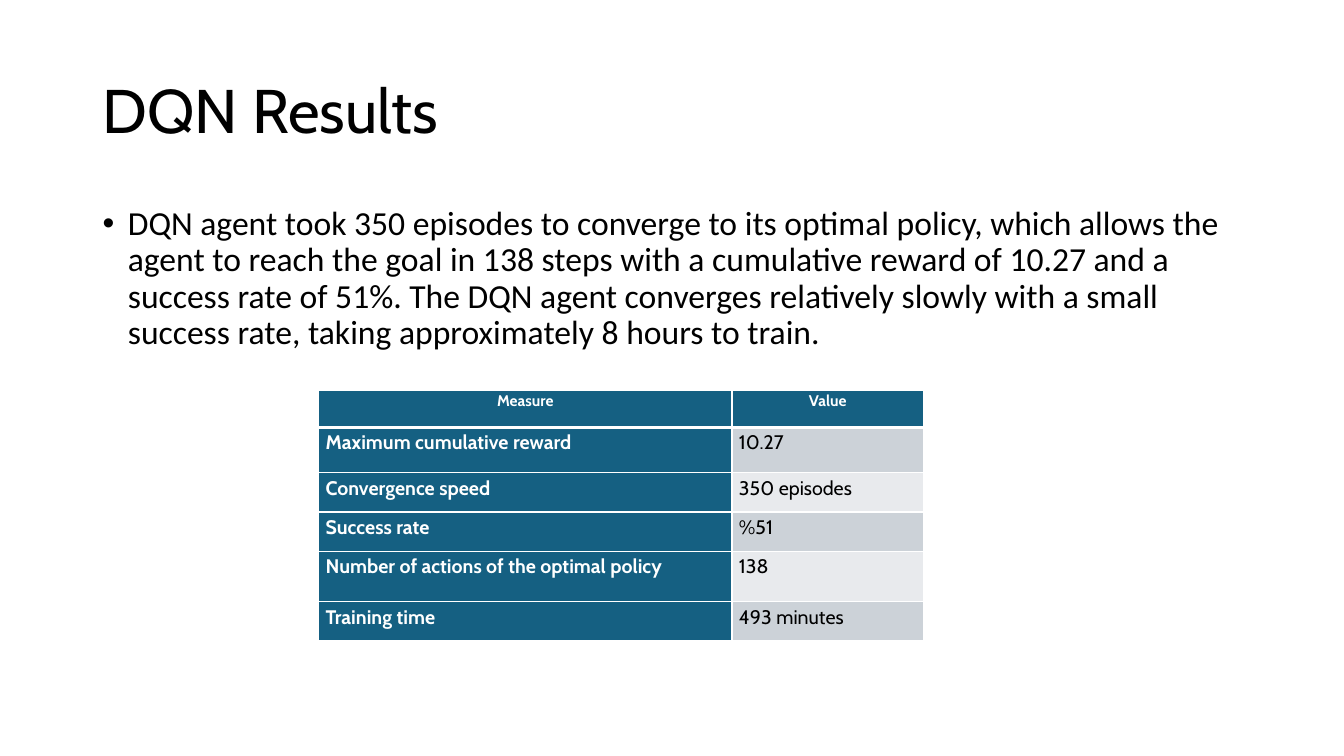
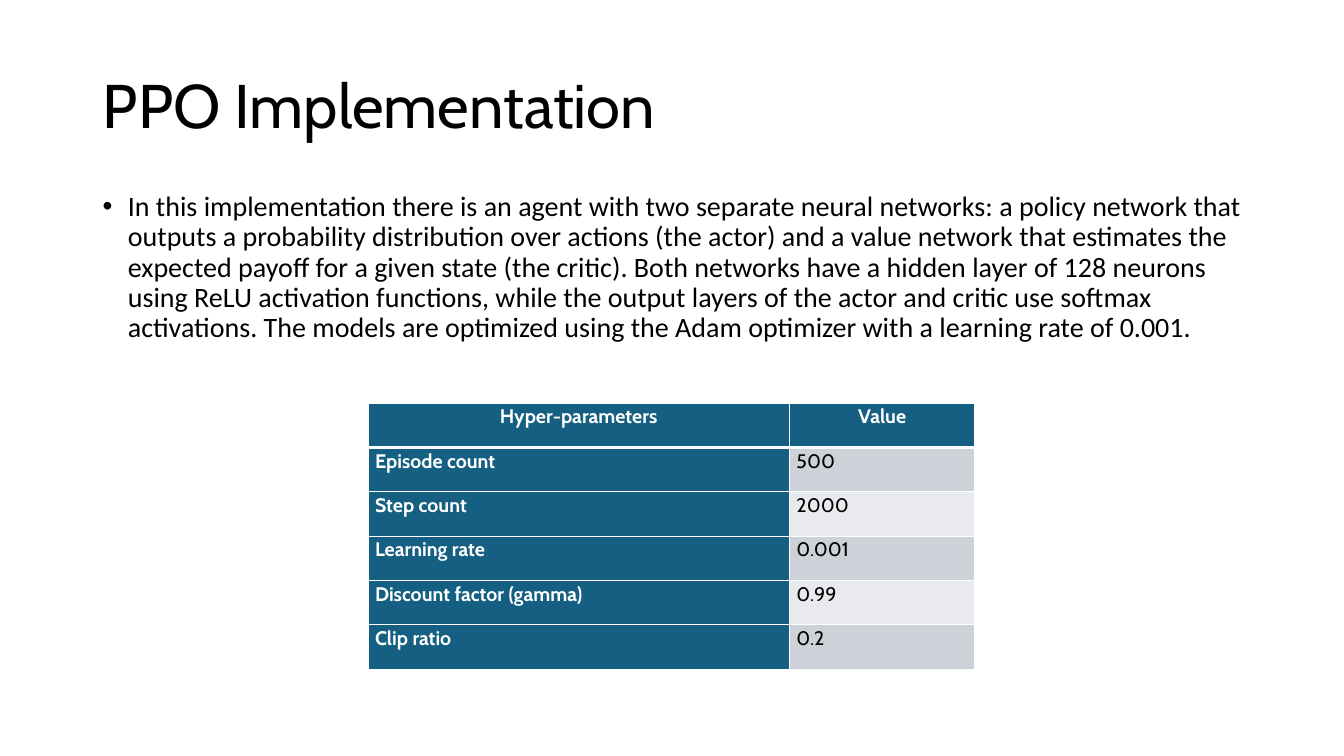
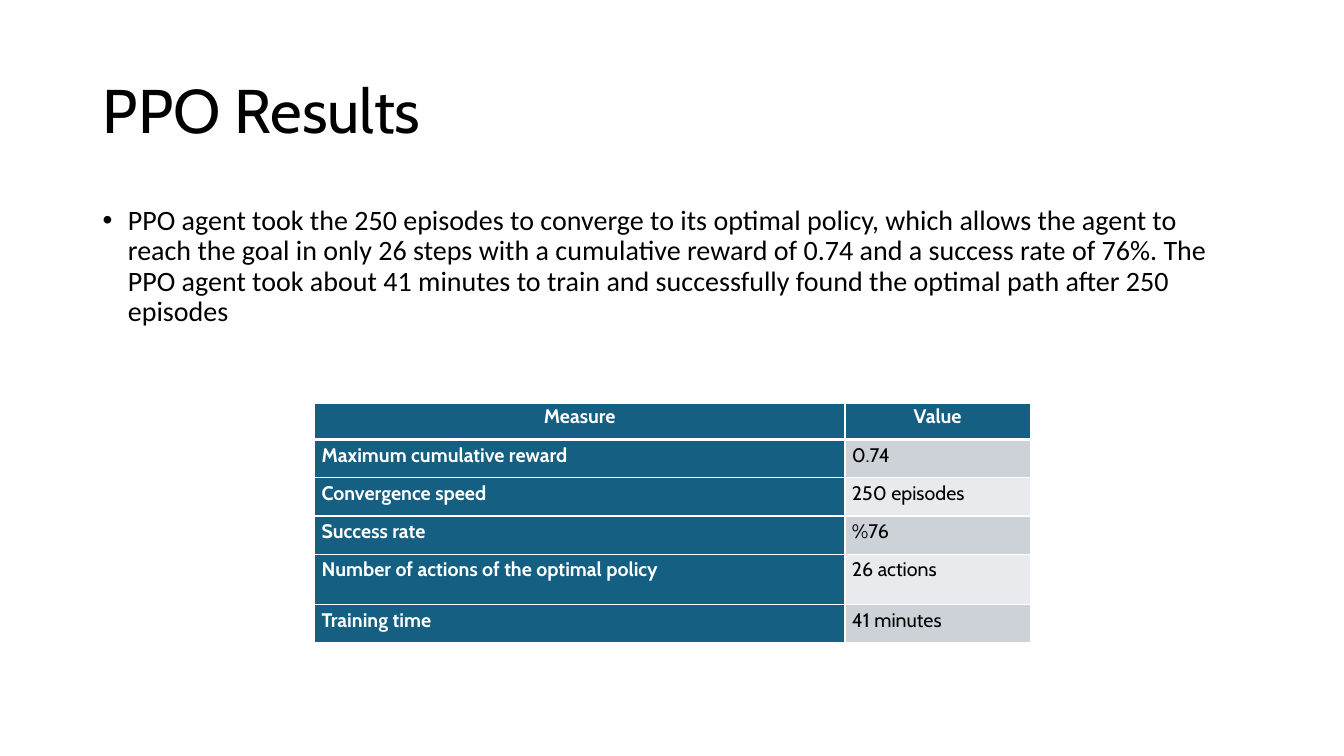
import dataclasses

import pptx
import pptx.dml.color
import pptx.enum.text
import pptx.oxml
import pptx.oxml.ns
import pptx.util
from pptx.util import Inches

ALIGN = pptx.enum.text.PP_ALIGN
ANCHOR = pptx.enum.text.MSO_ANCHOR
AUTO_SIZE = pptx.enum.text.MSO_AUTO_SIZE


# Shared look
@dataclasses.dataclass(frozen=True)
class Theme:
    heading_font: str = "Cabin"
    body_font: str = "Calibri"
    text: str = "000000"
    light: str = "FFFFFF"
    accent: str = "156082"
    bands: tuple = ("CCD2D8", "E8EAED")
    title_size: int = 44
    table_size: int = 14
    thin_rule: int = 1
    header_rule: int = 3
    left: float = 0.92
    width: float = 11.5
    title_height: float = 1.45
    body_height: float = 4.76
    cell_margin: float = 0.07


THEME = Theme()


def rgb(color):
    return pptx.dml.color.RGBColor.from_string(color)


def format_paragraph(paragraph, font, size, color, bold=False,
                     align=ALIGN.LEFT, line_spacing=0.9, before=0, after=0):
    paragraph.alignment = align
    paragraph.line_spacing = line_spacing
    paragraph.space_before = pptx.util.Pt(before)
    paragraph.space_after = pptx.util.Pt(after)
    for run in paragraph.runs:
        run.font.name = font
        run.font.size = pptx.util.Pt(size)
        run.font.bold = bold
        run.font.color.rgb = rgb(color)


# Title and body text
def add_titled_slide(deck, title, top):
    slide = deck.slides.add_slide(deck.slide_layouts[5])
    heading = slide.shapes.title
    heading.left, heading.top = Inches(THEME.left), Inches(top)
    heading.width, heading.height = Inches(THEME.width), Inches(THEME.title_height)
    frame = heading.text_frame
    frame.text = title
    frame.word_wrap = True
    frame.auto_size = AUTO_SIZE.NONE
    frame.vertical_anchor = ANCHOR.MIDDLE
    format_paragraph(frame.paragraphs[0], THEME.heading_font,
                     THEME.title_size, THEME.text)
    return slide


def add_bullet(slide, text, top, size):
    summary = slide.shapes.add_textbox(Inches(THEME.left), Inches(top),
                                       Inches(THEME.width), Inches(THEME.body_height))
    frame = summary.text_frame
    frame.word_wrap = True
    frame.text = text
    paragraph = frame.paragraphs[0]
    format_paragraph(paragraph, THEME.body_font, size, THEME.text, before=10)
    properties = paragraph._p.get_or_add_pPr()
    properties.set("marL", str(Inches(0.25)))
    properties.set("indent", str(-Inches(0.25)))
    namespace = pptx.oxml.ns.nsdecls("a")
    properties.append(pptx.oxml.parse_xml(f'<a:buFont {namespace} typeface="Arial"/>'))
    properties.append(pptx.oxml.parse_xml(f'<a:buChar {namespace} char="•"/>'))


# Table
def set_borders(cell, top, bottom):
    widths = {"lnL": THEME.thin_rule, "lnR": THEME.thin_rule, "lnT": top, "lnB": bottom}
    for side, width in widths.items():
        cell._tc.get_or_add_tcPr().append(pptx.oxml.parse_xml(
            f'<a:{side} {pptx.oxml.ns.nsdecls("a")} w="{pptx.util.Pt(width)}">'
            f'<a:solidFill><a:srgbClr val="{THEME.light}"/></a:solidFill></a:{side}>'))


def format_cell(cell, row, column, header_size, line_spacing):
    is_header = row == 0
    is_label = is_header or column == 0
    set_borders(cell,
                top=THEME.header_rule if row == 1 else THEME.thin_rule,
                bottom=THEME.header_rule if is_header else THEME.thin_rule)
    cell.fill.solid()
    cell.fill.fore_color.rgb = rgb(THEME.accent if is_label else THEME.bands[(row - 1) % 2])
    cell.margin_left = cell.margin_right = Inches(THEME.cell_margin)
    cell.margin_top = cell.margin_bottom = 0
    format_paragraph(cell.text_frame.paragraphs[0], THEME.heading_font,
                     header_size if is_header else THEME.table_size,
                     THEME.light if is_label else THEME.text,
                     bold=is_label,
                     align=ALIGN.CENTER if is_header else ALIGN.JUSTIFY,
                     line_spacing=1.07 if is_header else line_spacing,
                     after=8)


def add_value_table(slide, rows, left, top, widths, heights,
                    header_size=THEME.table_size, line_spacing=1.15):
    table = slide.shapes.add_table(len(rows), len(widths), Inches(left), Inches(top),
                                   Inches(sum(widths)), Inches(sum(heights))).table
    for column, width in zip(table.columns, widths):
        column.width = Inches(width)
    for table_row, height in zip(table.rows, heights):
        table_row.height = Inches(height)
    for r, values in enumerate(rows):
        for c, value in enumerate(values):
            cell = table.cell(r, c)
            cell.text_frame.text = value
            format_cell(cell, r, c, header_size, line_spacing)


def result_rows(*values):
    measures = ("Maximum cumulative reward", "Convergence speed", "Success rate",
                "Number of actions of the optimal policy", "Training time")
    return [("Measure", "Value"), *zip(measures, values)]


def main():
    deck = pptx.Presentation()
    deck.slide_width, deck.slide_height = Inches(13.33), Inches(7.5)

    # DQN results
    dqn_results = add_titled_slide(deck, "DQN Results", top=0.4)
    add_bullet(dqn_results,
               "DQN agent took 350 episodes to converge to its optimal policy, which "
               "allows the agent to reach the goal in 138 steps with a cumulative reward "
               "of 10.27 and a success rate of 51%. The DQN agent converges relatively "
               "slowly with a small success rate, taking approximately 8 hours to train.",
               top=2, size=24)
    add_value_table(dqn_results,
                    result_rows("10.27", "350 episodes", "%51", "138", "493 minutes"),
                    left=3.16, top=3.87, widths=(4.1, 1.9),
                    heights=(0.37, 0.45, 0.39, 0.39, 0.5, 0.39), header_size=11)

    # PPO implementation
    ppo_setup = add_titled_slide(deck, "PPO Implementation", top=0.35)
    add_bullet(ppo_setup,
               "In this implementation there is an agent with two separate neural "
               "networks: a policy network that outputs a probability distribution over "
               "actions (the actor) and a value network that estimates the expected payoff "
               "for a given state (the critic). Both networks have a hidden layer of 128 "
               "neurons using ReLU activation functions, while the output layers of the "
               "actor and critic use softmax activations. The models are optimized using "
               "the Adam optimizer with a learning rate of 0.001.",
               top=1.86, size=20)
    hyper_parameters = [("Hyper-parameters", "Value"), ("Episode count", "500"),
                        ("Step count", "2000"), ("Learning rate", "0.001"),
                        ("Discount factor (gamma)", "0.99"), ("Clip ratio", "0.2")]
    add_value_table(ppo_setup, hyper_parameters, left=3.65, top=4, widths=(4.18, 1.84),
                    heights=[0.44] * len(hyper_parameters), line_spacing=1.07)

    # PPO results
    ppo_results = add_titled_slide(deck, "PPO Results", top=0.4)
    add_bullet(ppo_results,
               "PPO agent took the 250 episodes to converge to its optimal policy, which "
               "allows the agent to reach the goal in only 26 steps with a cumulative "
               "reward of 0.74 and a success rate of 76%. The PPO agent took about 41 "
               "minutes to train and successfully found the optimal path after 250 episodes",
               top=2, size=20)
    add_value_table(ppo_results,
                    result_rows("0.74", "250 episodes", "%76", "26 actions", "41 minutes"),
                    left=3.12, top=4, widths=(5.26, 1.84),
                    heights=(0.36, 0.38, 0.38, 0.38, 0.5, 0.38))

    deck.save("out.pptx")


if __name__ == "__main__":
    main()
